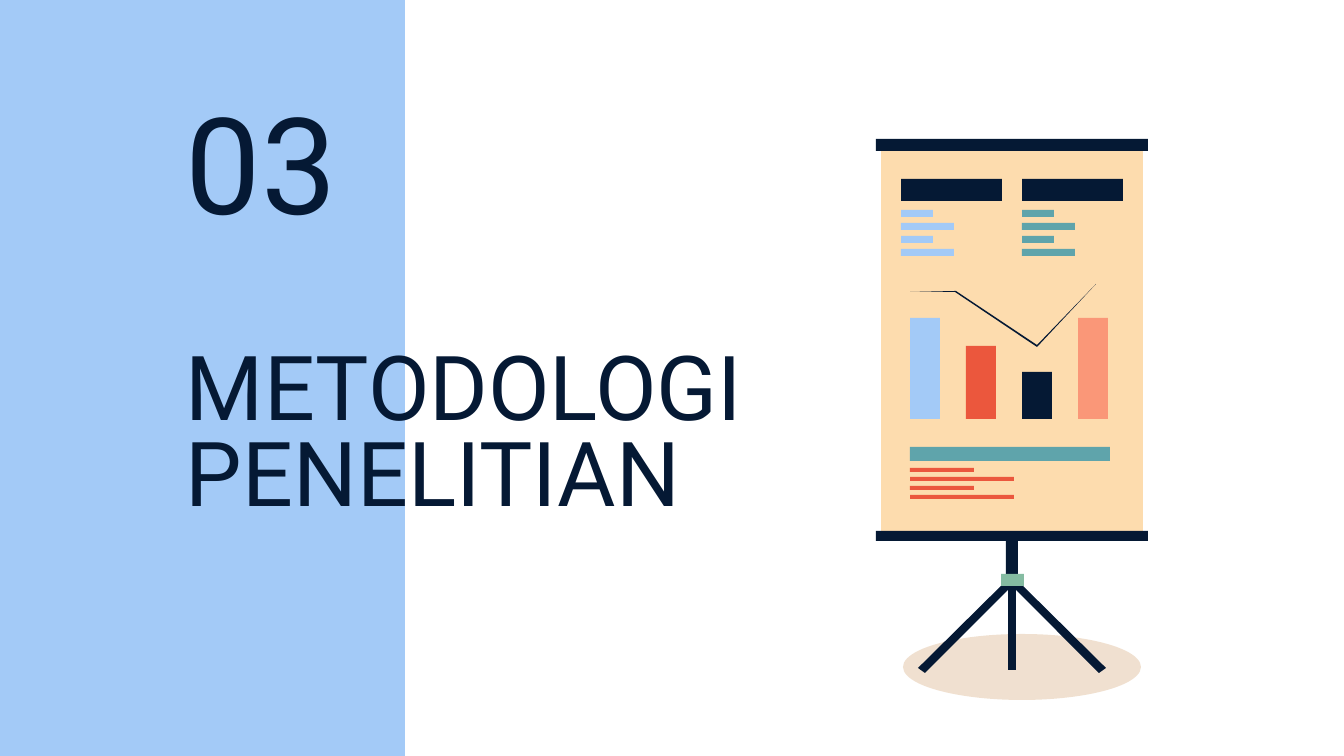
from lxml.etree import SubElement
from pptx import Presentation
from pptx.dml.color import RGBColor
from pptx.enum.shapes import MSO_SHAPE
from pptx.enum.text import MSO_ANCHOR, MSO_AUTO_SIZE, PP_ALIGN
from pptx.oxml.ns import qn
from pptx.util import Pt

SLIDE_W, SLIDE_H = 1344, 756
SCALE = 9144000 / SLIDE_W
FONT = "Roboto"
COLORS = {
    "navy": "051934", "blue": "A3CAF7", "teal": "5FA4AB", "red": "EB573D",
    "salmon": "FA9778", "cream": "FDDCAE", "green": "85BCA2", "brown": "B45F06",
}


def px(n):
    """Turn px into EMU."""
    return round(n * SCALE)


def paint(sp, color):
    """Give a shape a flat fill without line or shadow."""
    sp.shadow.inherit = False
    sp.fill.solid()
    sp.fill.fore_color.rgb = RGBColor.from_string(COLORS[color])
    sp.line.fill.background()
    return sp


def block(slide, x, y, w, h, color, kind=MSO_SHAPE.RECTANGLE):
    """Add a filled preset shape."""
    return paint(slide.shapes.add_shape(kind, px(x), px(y), px(w), px(h)), color)


def polygon(slide, x, y, points, color):
    """Add a filled polygon whose points are relative to x, y."""
    pts = [(px(x + dx), px(y + dy)) for dx, dy in points]
    fb = slide.shapes.build_freeform(*pts[0])
    fb.add_line_segments(pts[1:])
    return paint(fb.convert_to_shape(), color)


def lines(slide, x, y, widths, step, h, color):
    """Add a stack of bars that stand for lines of text."""
    for i, w in enumerate(widths):
        block(slide, x, y + i * step, w, h, color)


def panel(slide, x, y, w, h):
    """Add the side panel behind everything else."""
    sp = block(slide, x, y, w, h, "blue")
    slide.shapes._spTree.insert(2, sp._element)


def heading(sp, x, y, w, h, rows, size, anchor, spacing):
    """Place and format a heading placeholder."""
    sp.left, sp.top, sp.width, sp.height = px(x), px(y), px(w), px(h)
    tf = sp.text_frame
    tf.word_wrap = True
    tf.auto_size = MSO_AUTO_SIZE.NONE
    tf.vertical_anchor = anchor
    tf.margin_left = tf.margin_right = tf.margin_top = tf.margin_bottom = px(13)
    p = tf.paragraphs[0]
    p.alignment = PP_ALIGN.LEFT
    p.line_spacing = spacing
    p.space_before = Pt(0)
    for i, row in enumerate(rows):
        if i:
            p.add_line_break()
        r = p.add_run()
        r.text = row
        r.font.name = FONT
        r.font.size = Pt(size)
        r.font.bold = False
        r.font.color.rgb = RGBColor.from_string(COLORS["navy"])


def tripod(slide, x, y):
    """Draw the floor shadow, legs, pole and collar."""
    floor = block(slide, x + 27, y + 67, 238, 66, "brown", MSO_SHAPE.OVAL)
    clr = floor._element.spPr.find(qn("a:solidFill"))[0]
    SubElement(clr, qn("a:alpha"), val="19000")
    leg = [(133, 11), (42, 101), (49, 106), (139, 16)]
    polygon(slide, x, y, leg, "navy")
    polygon(slide, x, y, [(272 - dx, dy) for dx, dy in leg], "navy")
    block(slide, x + 132, y, 8, 103, "navy")
    block(slide, x + 130, y - 36, 12, 55, "navy")
    block(slide, x + 125, y + 7, 23, 12, "green")


def bars(slide, x, y, h):
    """Draw the bars and the trend stroke above them."""
    columns = [(101, "blue"), (73, "red"), (47, "navy"), (101, "salmon")]
    for i, (bar_h, color) in enumerate(columns):
        block(slide, x + i * 56, y + h - bar_h, 30, bar_h, color)
    trend = [(186, 0), (127, 61), (46, 7), (0, 8), (45, 8), (127, 63)]
    polygon(slide, x, y, trend, "navy")


def board(slide, x, y, w, h):
    """Draw the poster with its rails, text lines and bars."""
    block(slide, x + 5, y + 12, w - 10, h - 22, "cream")
    block(slide, x, y + h - 10, w, 10, "navy")
    block(slide, x, y, w, 12, "navy")
    for dx, color in ((25, "blue"), (146, "teal")):
        block(slide, x + dx, y + 40, 101, 22, "navy")
        lines(slide, x + dx, y + 71, (32, 53) * 2, 13, 7, color)
    bars(slide, x + 34, y + 145, 135)
    block(slide, x + 34, y + 308, 200, 14, "teal")
    lines(slide, x + 34, y + 329, (64, 104) * 2, 9, 4, "red")


def main():
    """Build the section slide."""
    prs = Presentation()
    prs.slide_width, prs.slide_height = px(SLIDE_W), px(SLIDE_H)
    slide = prs.slides.add_slide(prs.slide_layouts[2])
    panel(slide, 0, 0, 405, SLIDE_H)
    title, number = slide.placeholders
    heading(title, 173, 376, 626, 124, ["METODOLOGI", "PENELITIAN"], 48,
            MSO_ANCHOR.MIDDLE, 0.8)
    heading(number, 173, 138, 370, 116, ["03"], 72, MSO_ANCHOR.BOTTOM, 1.0)
    tripod(slide, 876, 567)
    board(slide, 876, 139, 272, 402)
    prs.save("out.pptx")


if __name__ == "__main__":
    main()
